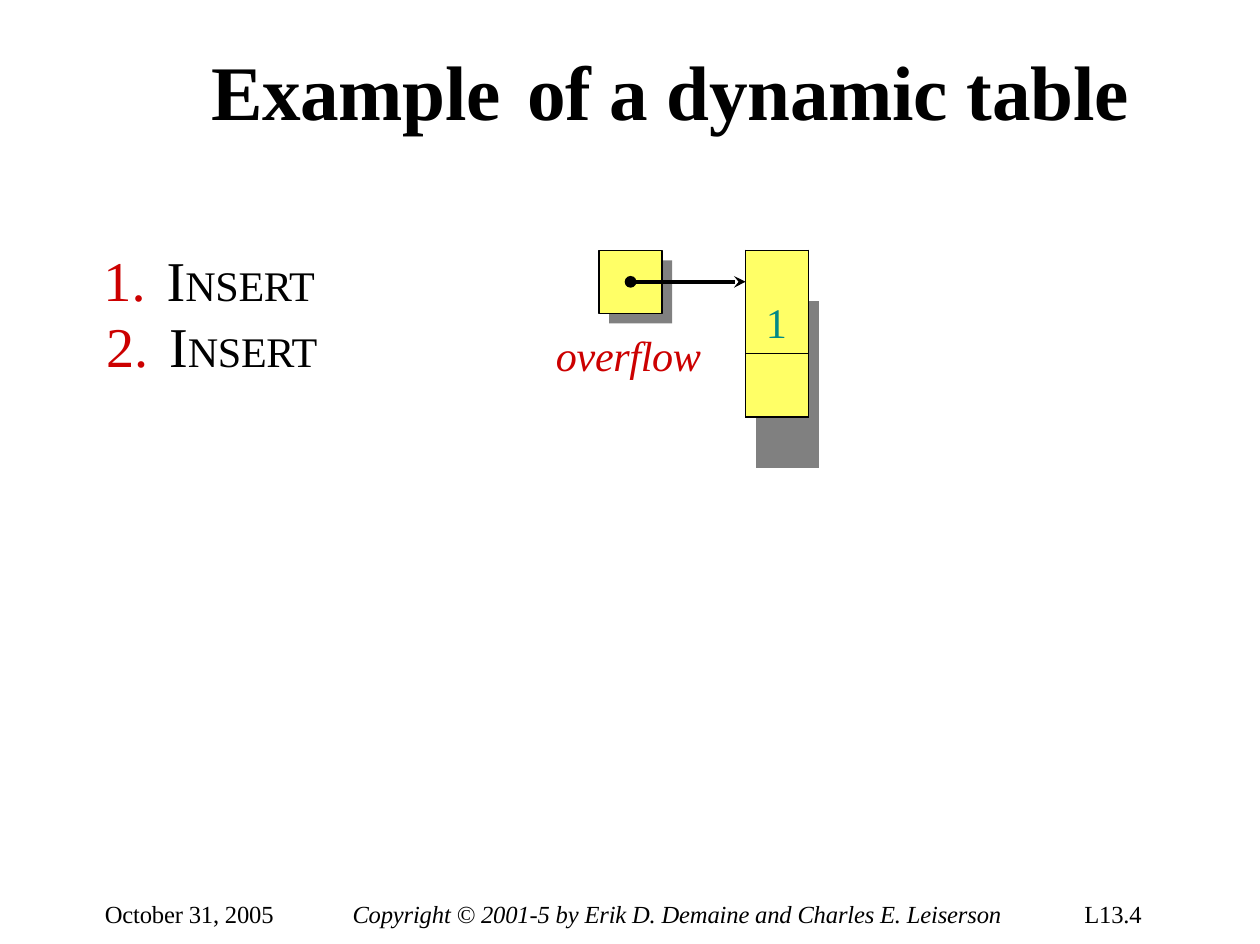
from lxml import etree
from pptx import Presentation, util as u
from pptx.dml.color import RGBColor
from pptx.enum import shapes, text
from pptx.oxml import ns

COLORS = {name: RGBColor.from_string(value) for name, value in {
    "black": "000000", "red": "CC0000", "teal": "008A87",
    "yellow": "FFFF66", "gray": "808080"}.items()}
FONT = "Times New Roman"
NO_STYLE = "{2D5ABB26-0587-4C30-8999-92F81FD0307C}"

presentation = Presentation()
presentation.slide_width = u.Inches(9.97)
presentation.slide_height = u.Inches(7.47)
slide = presentation.slides.add_slide(presentation.slide_layouts[5])

# Places are percentages of the slide; the diagram is built from square cells.
column = presentation.slide_width / 100
row = presentation.slide_height / 100
cell_size = u.Inches(0.5)
offset = u.Inches(0.08)


def add_element(parent, tag, **attributes):
    element = etree.SubElement(parent, ns.qn(tag))
    for name, value in attributes.items():
        element.set(name, value)
    return element


def write(shape, place, paragraphs, color="black", italic=False, spacing="-20"):
    """Place a text shape and fill it with paragraphs of (text, size) runs."""
    left, top, width, height = place
    shape.left, shape.width = int(left * column), int(width * column)
    shape.top, shape.height = int(top * row), int(height * row)
    frame = shape.text_frame
    frame.word_wrap = True
    frame.auto_size = text.MSO_AUTO_SIZE.NONE
    frame.vertical_anchor = text.MSO_ANCHOR.TOP
    frame.margin_left = frame.margin_right = frame.margin_top = frame.margin_bottom = 0
    for index, runs in enumerate(paragraphs):
        paragraph = frame.add_paragraph() if index else frame.paragraphs[0]
        paragraph.alignment = text.PP_ALIGN.LEFT
        for words, size in runs:
            run = paragraph.add_run()
            run.text = words
            run.font.name, run.font.size = FONT, u.Pt(size)
            run.font.italic = italic
            run.font.color.rgb = COLORS[color]
            run.font._element.set("spc", spacing)
    return frame.paragraphs


# Title
title, = write(slide.shapes.title, (10.23, 4.55, 79.54, 9.91),
               [[("Example\tof a dynamic table", 44)]])
properties = title._p.get_or_add_pPr()
properties.set("marL", str(u.Inches(0.65)))
properties.set("indent", "0")
tabs = add_element(properties, "a:tabLst")
add_element(tabs, "a:tab", pos=str(u.Inches(3.11)), algn="l")
for run in title.runs:
    run.font.bold = True

# Numbered operations
insert = [("I", 32), ("NSERT", 24)]
operations = write(slide.shapes.add_textbox(0, 0, 0, 0), (8.12, 26.1, 17.55, 14.19),
                   [insert, insert])
for paragraph, indent in zip(operations, (0.51, 0.53)):
    properties = paragraph._p.get_or_add_pPr()
    properties.set("marL", str(u.Inches(indent)))
    properties.set("indent", str(u.Inches(-0.5)))
    bullet_color = add_element(properties, "a:buClr")
    add_element(bullet_color, "a:srgbClr", val=str(COLORS["red"]))
    add_element(properties, "a:buFont", typeface=FONT)
    add_element(properties, "a:buAutoNum", type="arabicPeriod")
    tabs = add_element(properties, "a:tabLst")
    add_element(tabs, "a:tab", pos=str(u.Inches(indent)), algn="l")
    paragraph.line_spacing = u.Pt(37.8)

# Pointer box with its shadow
box_left, box_top = int(47.54 * column), int(26.51 * row)
for color, shift in (("gray", offset), ("yellow", 0)):
    box = slide.shapes.add_shape(shapes.MSO_SHAPE.RECTANGLE, box_left + shift,
                                 box_top + shift, cell_size, cell_size)
    box.shadow.inherit = False
    box.fill.solid()
    box.fill.fore_color.rgb = COLORS[color]
    box.line.fill.background()
box.line.color.rgb = COLORS["black"]
box.line.width = u.Pt(0.75)

# Arrow from the pointer to the table
table_left = int(59.18 * column)
arrow_y = box_top + cell_size // 2
arrow = slide.shapes.add_connector(shapes.MSO_CONNECTOR.STRAIGHT,
                                   box_left + cell_size // 2, arrow_y, table_left, arrow_y)
arrow.line.color.rgb = COLORS["black"]
arrow.line.width = u.Pt(2.25)
line = arrow.line._get_or_add_ln()
add_element(line, "a:headEnd", type="oval")
add_element(line, "a:tailEnd", type="stealth")
add_element(arrow._element.spPr, "a:effectLst")

# Two-slot table: yellow slots over a shifted gray shadow
widths = [offset, cell_size - offset, offset]
heights = [u.Inches(height) for height in (0.4, 0.42, 0.5, 0.4)]
fills = [("yellow", "yellow", None), ("yellow", "yellow", "gray"),
         ("yellow", "yellow", "gray"), (None, "gray", "gray")]
frame = slide.shapes.add_table(4, 3, table_left, box_top, sum(widths), sum(heights))
table = frame.table
table.first_row = table.horz_banding = False
table._tbl.tblPr.find(ns.qn("a:tableStyleId")).text = NO_STYLE
for table_column, width in zip(table.columns, widths):
    table_column.width = width
for y, height in enumerate(heights):
    table.rows[y].height = height
    for x, fill in enumerate(fills[y]):
        cell = table.cell(y, x)
        cell.margin_left = cell.margin_right = cell.margin_top = cell.margin_bottom = 0
        borders = {"L": x == 0, "R": x == 1, "T": y == 0, "B": y in (1, 2)}
        for side, drawn in borders.items():
            if drawn and fill == "yellow":
                border = add_element(cell._tc.get_or_add_tcPr(), f"a:ln{side}",
                                     w=str(u.Pt(0.75)))
                solid = add_element(border, "a:solidFill")
                add_element(solid, "a:srgbClr", val=str(COLORS["black"]))
        if fill:
            cell.fill.solid()
            cell.fill.fore_color.rgb = COLORS[fill]
        else:
            cell.fill.background()
item = table.cell(1, 1).text_frame.paragraphs[0]
item._p.get_or_add_pPr().set("marL", str(offset))
item._p.get_or_add_pPr().set("indent", "0")
run = item.add_run()
run.text = "1"
run.font.name, run.font.size = FONT, u.Pt(24)
run.font.color.rgb = COLORS["teal"]

# Overflow label and footer
labels = [
    ("overflow", 24, (44.13, 34.94, 11.94, 5.49), "red", True, "-20"),
    ("October 31, 2005", 14, (8.32, 95.18, 13.84, 3.35), "black", False, "-10"),
    ("Copyright © 2001-5 by Erik D. Demaine and Charles E. Leiserson", 14,
     (27.98, 95.18, 52.66, 3.35), "black", True, "-10"),
    ("L13.4", 14, (86.06, 95.18, 6.02, 3.35), "black", False, "-10"),
]
for words, size, place, color, italic, spacing in labels:
    write(slide.shapes.add_textbox(0, 0, 0, 0), place, [[(words, size)]],
          color, italic, spacing)

presentation.save("out.pptx")
